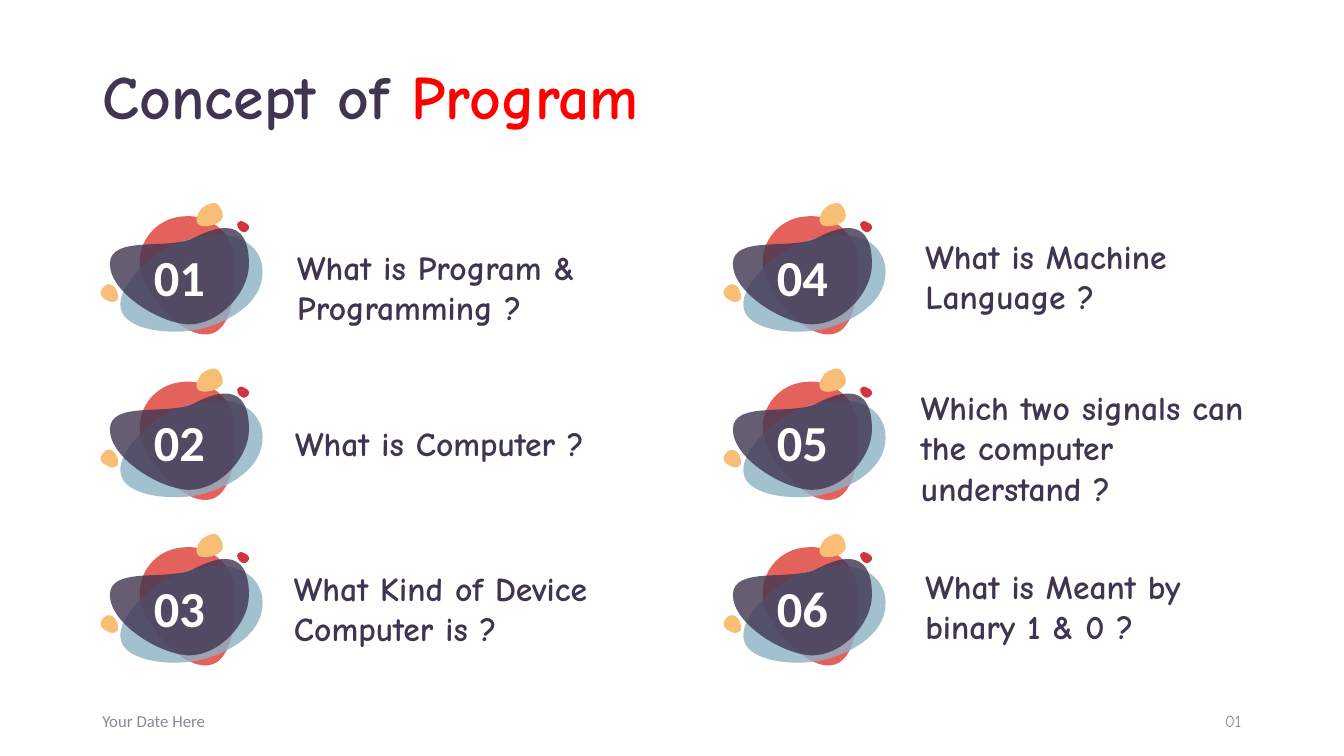
from lxml import etree
from pptx import Presentation
from pptx.dml import color as col
from pptx.enum import text as tx
from pptx.oxml import ns
from pptx.util import Cm, Pt

HUES = {
    "ink": "403551",
    "red": "FF0000",
    "coral": "E4625C",
    "blue": "8DB1C4",
    "sand": "F9BE75",
    "ruby": "D0343C",
    "white": "FFFFFF",
    "grey": "848B98",
}

BLOBS = {
    "core": ("coral", 100, [
        (39, 64), (41, 89), (80, 134), (106, 131), (132, 129), (135, 80), (133, 55),
        (130, 29), (107, 11), (81, 14), (55, 16), (36, 39), (39, 64)]),
    "wave": ("blue", 80, [
        (21, 109), (29, 126), (64, 131), (92, 127), (121, 122), (166, 101), (160, 62),
        (157, 47), (141, 21), (83, 38), (50, 48), (11, 87), (21, 109)]),
    "face": ("ink", 80, [
        (9, 61), (9, 90), (60, 121), (88, 121), (117, 121), (147, 90), (147, 61),
        (147, 32), (135, 13), (93, 35), (68, 48), (9, 32), (9, 61)]),
    "drop": ("sand", 100, [
        (97, 22), (100, 25), (113, 24), (119, 18), (124, 13), (119, 5), (116, 2),
        (113, -1), (106, 1), (100, 6), (95, 12), (93, 19), (97, 22)]),
    "seed": ("sand", 100, [
        (17, 96), (18, 93), (16, 84), (11, 82), (6, 79), (2, 84), (0, 88),
        (-1, 91), (1, 95), (6, 97), (10, 100), (15, 99), (17, 96)]),
    "dot": ("ruby", 100, [
        (136, 20), (134, 22), (137, 28), (140, 29), (143, 31), (146, 28), (147, 26),
        (148, 24), (146, 21), (143, 20), (140, 18), (137, 18), (136, 20)]),
}

TOPICS = [
    ("What is Program & Programming ?", (4.7, 0.58, 8.79, 2.57)),
    ("What is Computer ?", (4.65, 0.86, 8.84, 1.55)),
    ("What Kind of Device Computer is ?", (4.62, 0.33, 9.32, 2.57)),
    ("What is Machine Language ?", (4.83, 0.3, 8.28, 2.57)),
    ("Which two signals can the computer understand ?", (4.72, -0.05, 9.37, 3.58)),
    ("What is Meant by binary 1 & 0 ?", (4.83, 0.28, 8.28, 2.57)),
]

ROWS = 3
FINE = 100
STEPS = 16
UNIT = Cm(2.54) / 100


def put(obj, **vals):
    for key, val in vals.items():
        setattr(obj, key, val)


def write(par, words, size, hue, name="Comic Neue", bold=True):
    run = par.add_run()
    run.text = words
    put(run.font, size=Pt(size), name=name, bold=bold)
    run.font.color.rgb = col.RGBColor.from_string(HUES[hue])


def span(vals):
    out = []
    for i in range(0, len(vals) - 1, 3):
        a, b, c, d = vals[i:i + 4]
        for k in range(STEPS + 1):
            t = k / STEPS
            s = 1 - t
            out.append(s ** 3 * a + 3 * s * s * t * b + 3 * s * t * t * c + t ** 3 * d)
    return round(min(out) * FINE), round(max(out) * FINE)


def bend(shape, pts, left, top):
    track = shape._element.find(".//" + ns.qn("a:path"))
    for node in list(track):
        track.remove(node)

    def add(tag, group):
        step = etree.SubElement(track, ns.qn(tag))
        for x, y in group:
            dot = etree.SubElement(step, ns.qn("a:pt"))
            dot.set("x", str(x * FINE - left))
            dot.set("y", str(y * FINE - top))

    add("a:moveTo", pts[:1])
    for i in range(1, len(pts), 3):
        add("a:cubicBezTo", pts[i:i + 3])
    add("a:close", [])


def blob(group, x, y, hue, alpha, pts):
    (left, right), (top, base) = (span(vals) for vals in zip(*pts))
    pen = group.shapes.build_freeform(left, top, UNIT / FINE)
    pen.add_line_segments([(right, base)], close=True)
    shape = pen.convert_to_shape(Cm(x), Cm(y))
    bend(shape, pts, left, top)
    shape.shadow.inherit = False
    shape.line.fill.background()
    shape.fill.solid()
    shape.fill.fore_color.rgb = col.RGBColor.from_string(HUES[hue])
    if alpha < 100:
        tint = shape._element.spPr.find(".//" + ns.qn("a:srgbClr"))
        etree.SubElement(tint, ns.qn("a:alpha")).set("val", str(alpha * 1000))
    return shape


def badge(group, x, y, num):
    parts = {name: blob(group, x, y, *look) for name, look in BLOBS.items()}
    frame = parts["face"].text_frame
    pad = Cm(0.1)
    put(frame, vertical_anchor=tx.MSO_ANCHOR.MIDDLE, word_wrap=True,
        margin_left=pad, margin_right=pad, margin_top=pad, margin_bottom=pad)
    par = frame.paragraphs[0]
    par.alignment = tx.PP_ALIGN.CENTER
    write(par, f"{num:02d}", 36, "white", "Calibri")


def topic(slide, x, y, num, words, box):
    group = slide.shapes.add_group_shape()
    badge(group, x, y, num)
    left, top, wide, high = box
    label = group.shapes.add_textbox(Cm(x + left), Cm(y + top), Cm(wide), Cm(high))
    frame = label.text_frame
    put(frame, word_wrap=True, vertical_anchor=tx.MSO_ANCHOR.BOTTOM,
        auto_size=tx.MSO_AUTO_SIZE.SHAPE_TO_FIT_TEXT,
        margin_top=Cm(0.51), margin_bottom=0)
    write(frame.paragraphs[0], words, 24, "ink")


def grid(slide, x, y, wide, high):
    for i, (words, box) in enumerate(TOPICS):
        c, r = divmod(i, ROWS)
        topic(slide, x + c * wide, y + r * high, i + 1, words, box)


def head(slide, x, y, wide, high):
    title = slide.shapes.title
    put(title, left=Cm(x), top=Cm(y), width=Cm(wide), height=Cm(high))
    title.text_frame.vertical_anchor = tx.MSO_ANCHOR.MIDDLE
    par = title.text_frame.paragraphs[0]
    put(par, alignment=tx.PP_ALIGN.LEFT, line_spacing=0.9)
    write(par, "Concept of ", 44, "ink")
    write(par, "Program", 44, "red")


def foot(slide, x, y, wide, high):
    size = 7.62
    notes = [
        ("Your Date Here", x, tx.PP_ALIGN.LEFT, "Calibri"),
        ("01", x + wide - size, tx.PP_ALIGN.RIGHT, "Comic Neue"),
    ]
    for words, left, side, name in notes:
        box = slide.shapes.add_textbox(Cm(left), Cm(y), Cm(size), Cm(high))
        put(box.text_frame, word_wrap=True, vertical_anchor=tx.MSO_ANCHOR.MIDDLE)
        par = box.text_frame.paragraphs[0]
        par.alignment = side
        write(par, words, 12, "grey", name, False)


def main():
    deck = Presentation()
    put(deck, slide_width=Cm(33.87), slide_height=Cm(19.05))
    slide = deck.slides.add_slide(deck.slide_layouts[5])
    head(slide, 2.33, 0.94, 29.21, 3.15)
    grid(slide, 2.54, 5.1, 15.7, 4.17)
    foot(slide, 2.33, 17.65, 29.21, 1.02)
    deck.save("out.pptx")


if __name__ == "__main__":
    main()
